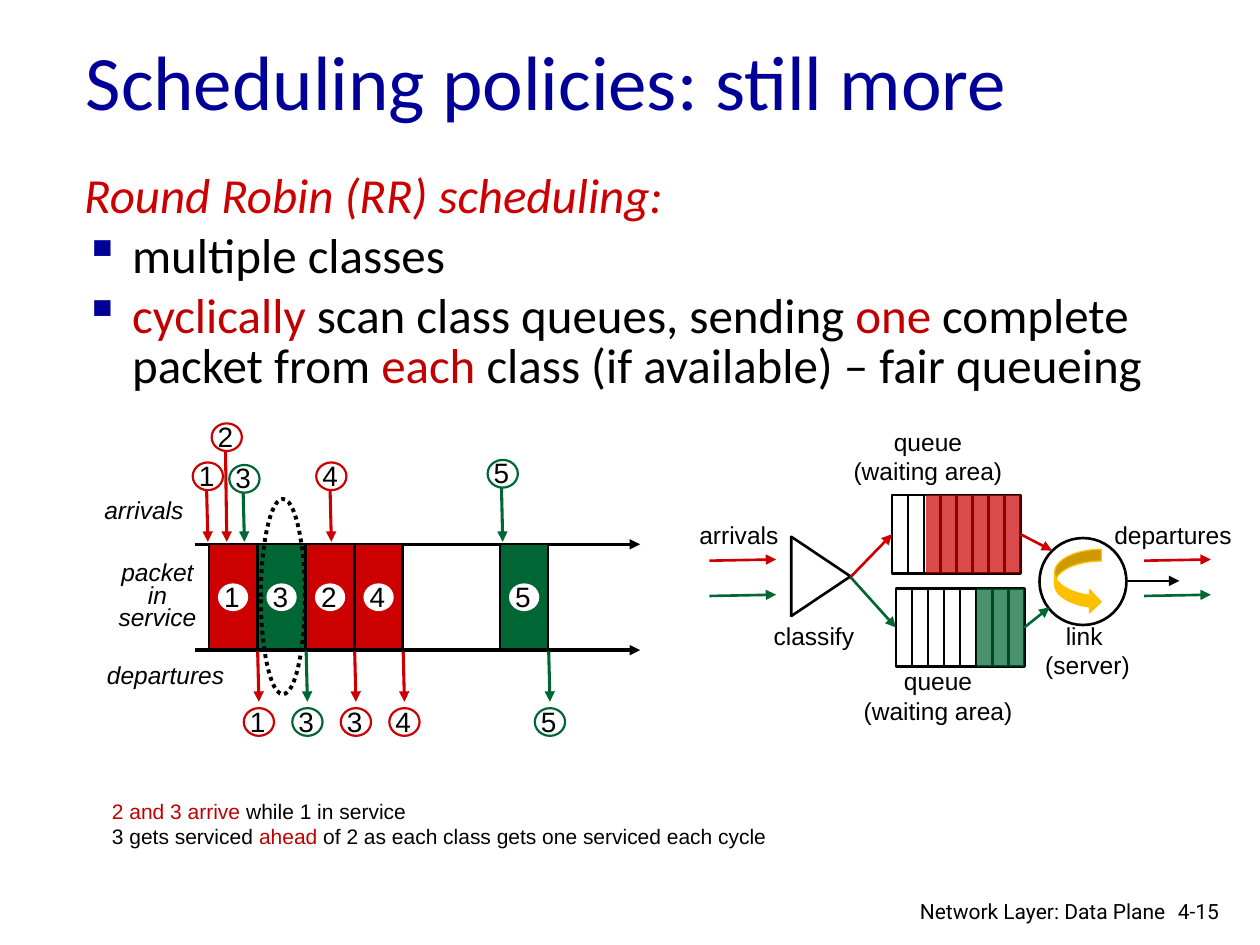
from dataclasses import dataclass

from lxml import etree
from pptx import Presentation
from pptx.dml.color import RGBColor
from pptx.enum.dml import MSO_LINE
from pptx.enum.shapes import MSO_CONNECTOR, MSO_SHAPE
from pptx.enum.text import MSO_ANCHOR, MSO_AUTO_SIZE, PP_ALIGN
from pptx.oxml.ns import qn
from pptx.util import Inches, Pt

RECT, OVAL = MSO_SHAPE.RECTANGLE, MSO_SHAPE.OVAL
TRIANGLE, CURVED = MSO_SHAPE.ISOSCELES_TRIANGLE, MSO_SHAPE.CURVED_RIGHT_ARROW
STRAIGHT, DOTTED = MSO_CONNECTOR.STRAIGHT, MSO_LINE.ROUND_DOT
LEFT, CENTER, RIGHT = PP_ALIGN.LEFT, PP_ALIGN.CENTER, PP_ALIGN.RIGHT
MIDDLE, NO_FIT = MSO_ANCHOR.MIDDLE, MSO_AUTO_SIZE.NONE
RED, GREEN, BLACK, WHITE = "CC0000", "006633", "000000", "FFFFFF"
NAVY, DARK_RED, GOLD = "000099", "C00000", "FFC000"
LEFT_SIDE, RIGHT_SIDE = 1, 3


@dataclass
class Packet:
    label: str
    departure_label: str
    color: str
    slot: int


@dataclass
class Arrival:
    label: str
    color: str
    x: float
    top: float


@dataclass
class Queue:
    left: float
    top: float
    fill_left: float
    color: str


def rgb(color: str) -> RGBColor:
    return RGBColor.from_string(color)


def add_span(para, text: str, color: str = BLACK, **formats) -> None:
    span = para.add_run()
    span.text = text
    span.font.color.rgb = rgb(color)
    for name, value in formats.items():
        setattr(span.font, name, value)


def add_text(page, at: tuple, paragraphs: list, size: float, font: str = "Arial",
             align=LEFT, wrap: bool = False, italic: bool = False):
    """Each paragraph is a list of (text, color) pairs."""
    box = page.shapes.add_textbox(*map(Inches, at))
    frame = box.text_frame
    frame.word_wrap = wrap
    for index, spans in enumerate(paragraphs):
        para = frame.paragraphs[0] if index == 0 else frame.add_paragraph()
        para.alignment = align
        for text, color in spans:
            add_span(para, text, color, size=Pt(size), name=font, italic=italic)
    return frame


def add_label(page, at: tuple, *lines: str, align=CENTER, **options):
    return add_text(page, at, [[(line, BLACK)] for line in lines], 14,
                    align=align, **options)


def add_figure(page, kind, at: tuple, fill: str = "", line: str = "",
               width: float = 1.5, alpha: int = 100):
    figure = page.shapes.add_shape(kind, *map(Inches, at))
    figure.shadow.inherit = False
    if fill:
        figure.fill.solid()
        figure.fill.fore_color.rgb = rgb(fill)
        if alpha < 100:
            color = figure.fill._xPr.find(qn("a:solidFill"))[0]
            etree.SubElement(color, qn("a:alpha"), val=str(alpha * 1000))
    else:
        figure.fill.background()
    if line:
        figure.line.color.rgb = rgb(line)
        figure.line.width = Pt(width)
    else:
        figure.line.fill.background()
    return figure


def add_line(page, start: tuple, end: tuple, color: str = BLACK,
             width: float = 1.5, arrow: bool = True):
    line = page.shapes.add_connector(STRAIGHT, *map(Inches, start + end))
    line.line.color.rgb = rgb(color)
    line.line.width = Pt(width)
    if arrow:
        etree.SubElement(line.line._get_or_add_ln(), qn("a:tailEnd"), type="triangle")
    etree.SubElement(line._element.spPr, qn("a:effectLst"))
    return line


def add_token(page, left: float, top: float, label: str, ring: str = "") -> None:
    add_figure(page, OVAL, (left, top, 0.24, 0.22), WHITE, ring, 1.25)
    add_text(page, (left - 0.05, top - 0.08, 0.33, 0.37), [[(label, BLACK)]], 16)


def add_queue(page, queue: Queue):
    width, height, cells = 1.02, 0.62, 8
    frame = add_figure(page, RECT, (queue.left, queue.top, width, height), line=BLACK)
    for cell in range(1, cells):
        x = queue.left + cell * width / cells
        add_line(page, (x, queue.top), (x, queue.top + height), arrow=False)
    fill_width = queue.left + width - queue.fill_left
    add_figure(page, RECT, (queue.fill_left, queue.top, fill_width, height),
               queue.color, alpha=71)
    return frame


def add_bullet(para) -> None:
    props = para._p.get_or_add_pPr()
    color = etree.SubElement(props, qn("a:buClr"))
    etree.SubElement(color, qn("a:srgbClr"), val=NAVY)
    etree.SubElement(props, qn("a:buChar"), char="▪")


def add_heading(page) -> None:
    title = page.shapes.title
    formats = {"left": 0.58, "top": 0.01, "width": 8.5, "height": 1.25}
    for name, value in formats.items():
        setattr(title, name, Inches(value))
    frame = title.text_frame
    frame.vertical_anchor, frame.auto_size = MIDDLE, NO_FIT
    para = frame.paragraphs[0]
    para.alignment = LEFT
    add_span(para, "Scheduling policies: still more", NAVY, size=Pt(44), name="Calibri")


def add_body(page) -> None:
    frame = add_text(page, (0.57, 1.33, 8.68, 1.92), [
        [("Round Robin (RR) scheduling:", RED)],
        [("multiple classes", BLACK)],
        [("cyclically", DARK_RED), (" scan class queues, sending ", BLACK),
         ("one", DARK_RED), (" complete packet from ", BLACK), ("each", DARK_RED),
         (" class (if available) – fair queueing", BLACK)],
    ], 28, "Calibri", wrap=True)
    frame.paragraphs[0].runs[0].font.italic = True
    for index, para in enumerate(frame.paragraphs):
        props = para._p.get_or_add_pPr()
        props.set("marL", str(Inches(0.38)))
        props.set("indent", str(-Inches(0.38)))
        if index:
            add_bullet(para)
            para.space_before = Pt(5.6)
        para.line_spacing = 0.85


def add_timeline(page) -> None:
    axis_top, axis_bottom, first_slot, slot_step = 4.32, 5.16, 1.66, 0.385
    for y in (axis_top, axis_bottom):
        add_line(page, (1.55, y), (5.08, y), width=2)

    # Packets in service and their departures
    for packet in (Packet("1", "1", RED, 0), Packet("3", "3", GREEN, 1),
                   Packet("2", "3", RED, 2), Packet("4", "4", RED, 3),
                   Packet("5", "5", GREEN, 6)):
        left = first_slot + packet.slot * slot_step
        end = left + slot_step
        add_figure(page, RECT, (left, axis_top, 0.38, 0.83), packet.color, BLACK, 1.25)
        add_token(page, left + 0.07, 4.63, packet.label)
        add_line(page, (end, 5.17), (end + 0.01, 5.57), packet.color, 1.75)
        add_token(page, end - 0.11, 5.62, packet.departure_label, packet.color)

    # Arrivals
    for arrival in (Arrival("5", GREEN, 3.98, 3.65), Arrival("2", RED, 1.79, 3.36),
                    Arrival("1", RED, 1.64, 3.67), Arrival("3", GREEN, 1.93, 3.69),
                    Arrival("4", RED, 2.62, 3.67)):
        add_line(page, (arrival.x, arrival.top + 0.22), (arrival.x + 0.01, 4.3),
                 arrival.color, 1.75)
        add_token(page, arrival.x - 0.11, arrival.top, arrival.label, arrival.color)

    add_label(page, (0.73, 3.88, 0.88, 0.34), "arrivals", align=LEFT, italic=True)
    add_label(page, (0.75, 5.19, 1.19, 0.34), "departures", align=LEFT, italic=True)
    service = add_label(page, (0.78, 4.43, 0.94, 0.65), "packet in service",
                        wrap=True, italic=True)
    service.paragraphs[0].line_spacing = Pt(12.8)
    highlight = add_figure(page, OVAL, (2.07, 3.96, 0.35, 1.55), line=BLACK, width=2.25)
    highlight.line.dash_style = DOTTED


def add_server_diagram(page) -> None:
    green_queue = add_queue(page, Queue(7.11, 4.67, 7.75, GREEN))
    red_queue = add_queue(page, Queue(7.08, 3.93, 7.35, RED))
    classifier = add_figure(page, TRIANGLE, (6.2, 4.34, 0.63, 0.47), line=BLACK)
    classifier.rotation = 90
    add_figure(page, OVAL, (8.25, 4.27, 0.69, 0.69), line=BLACK)

    # Paths through the queues
    for queue, color, entry, exit_end in ((red_queue, RED, (7.08, 4.24), (8.35, 4.37)),
                                          (green_queue, GREEN, (7.11, 4.98), (8.33, 4.82))):
        add_line(page, (6.75, 4.58), entry, color).end_connect(queue, LEFT_SIDE)
        add_line(page, (8.1, entry[1]), exit_end, color).begin_connect(queue, RIGHT_SIDE)
    add_line(page, (8.94, 4.61), (9.36, 4.61))

    # Traffic in and out
    for x in (5.63, 9.08):
        for y, color in ((4.45, RED), (4.73, GREEN)):
            add_line(page, (x, y), (x + 0.53, y - 0.01), color)

    for at, lines in (((6.67, 3.34, 1.39, 0.57), ("queue", "(waiting area)")),
                      ((6.75, 5.24, 1.39, 0.57), ("queue", "(waiting area)")),
                      ((5.45, 4.08, 0.83, 0.34), ("arrivals",)),
                      ((6.03, 4.88, 0.86, 0.34), ("classify",)),
                      ((8.74, 4.08, 1.14, 0.34), ("departures",)),
                      ((8.14, 4.88, 0.93, 0.57), ("link", " (server)"))):
        add_label(page, at, *lines)
    add_figure(page, CURVED, (8.37, 4.36, 0.37, 0.51), GOLD, GOLD, 0.75)


def main() -> None:
    deck = Presentation()
    deck.slide_width, deck.slide_height = Inches(10), Inches(7.5)
    page = deck.slides.add_slide(deck.slide_layouts[5])
    add_heading(page)
    add_body(page)
    add_timeline(page)
    add_server_diagram(page)

    # Explanation and footer
    add_text(page, (0.79, 6.29, 7.01, 0.5), [
        [("2 and 3 arrive ", DARK_RED), ("while 1 in service", BLACK)],
        [("3 gets serviced ", BLACK), ("ahead", DARK_RED),
         (" of 2 as each class gets one serviced each cycle", BLACK)],
    ], 12, wrap=True)
    add_text(page, (9.25, 7.08, 0.61, 0.3), [[("4-15", BLACK)]], 12, "Roboto", wrap=True)
    add_text(page, (6.97, 7.08, 2.38, 0.26), [[("Network Layer: Data Plane", BLACK)]],
             12, "Roboto", RIGHT, wrap=True)
    deck.save("out.pptx")


if __name__ == "__main__":
    main()
